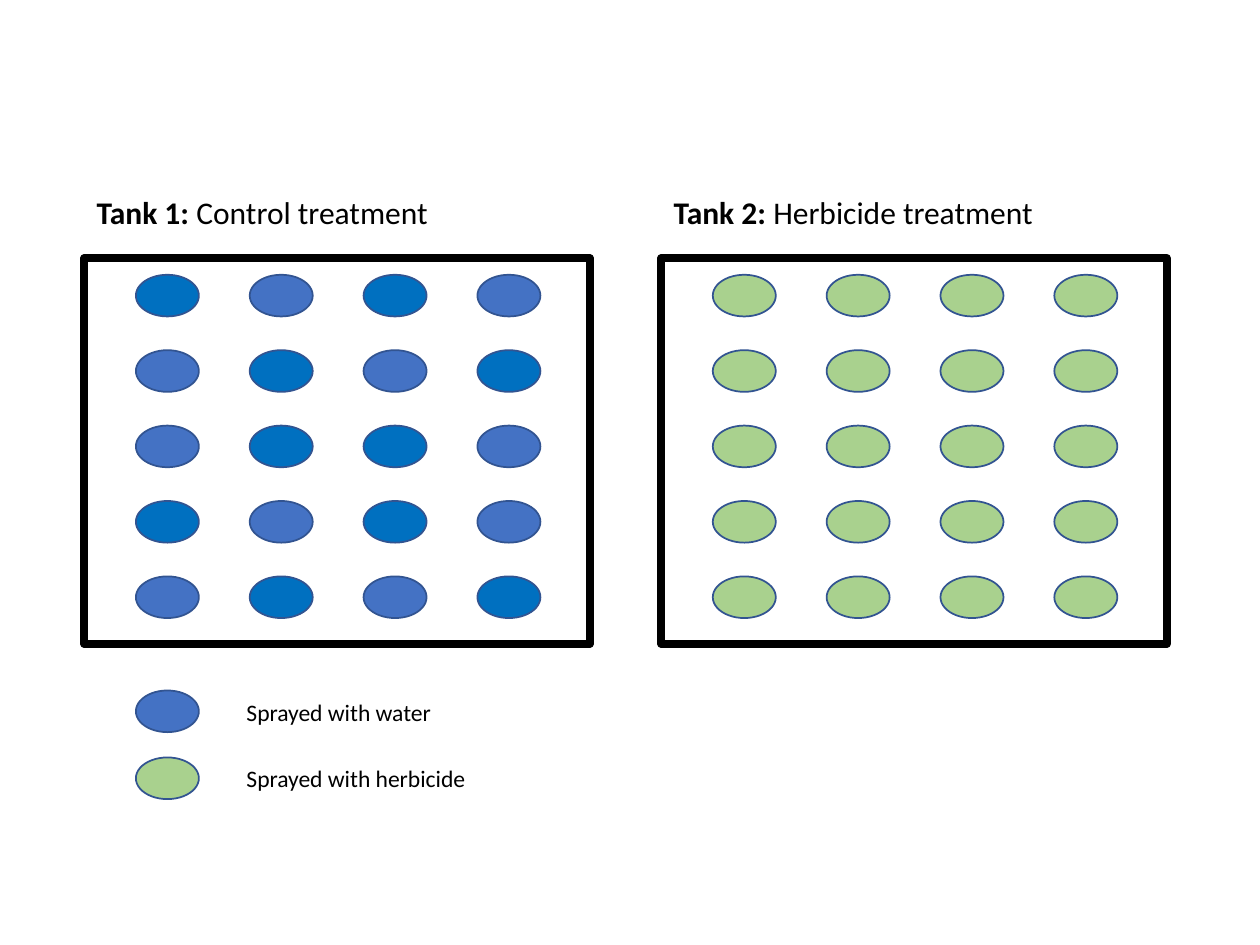
"""Build a slide comparing two tanks of plants sprayed with water or herbicide."""
from pptx import Presentation
from pptx.dml.color import RGBColor
from pptx.enum.shapes import MSO_SHAPE
from pptx.enum.text import MSO_AUTO_SIZE
from pptx.util import Cm, Pt

WATER, DEEP_WATER, HERBICIDE = "4472C4", "0070C0", "A9D18E"
PLANT_COLORS = {"w": WATER, "d": DEEP_WATER, "h": HERBICIDE}
TANKS = [
    ("Tank 1: ", "Control treatment", ["dwdw", "wdwd", "wddw", "dwdw", "wdwd"]),
    ("Tank 2: ", "Herbicide treatment", ["hhhh"] * 5),
]
LEGEND = [
    ("Sprayed with water", WATER, 13.92, 13.94, 11.07),
    ("Sprayed with herbicide", HERBICIDE, 15.27, 15.27, 13.97),
]

TANK_LEFT, TANK_TOP, TANK_PITCH = 1.7, 5.21, 11.63
TANK_WIDTH, TANK_HEIGHT = 10.19, 7.77
TITLE_TOP, TITLE_HEIGHT = 3.76, 1.02
PLANT_LEFT, PLANT_TOP = 2.74, 5.54
PLANT_WIDTH, PLANT_HEIGHT = 1.27, 0.84
COLUMN_PITCH, ROW_PITCH = 2.295, 1.52
LEGEND_TEXT_LEFT, LEGEND_TEXT_HEIGHT = 4.72, 0.84


def color(value):
    return RGBColor.from_string(value)


def add_outline(slide, preset, box, fill, line, weight):
    outline = slide.shapes.add_shape(preset, *map(Cm, box))
    outline.shadow.inherit = False
    if fill:
        outline.fill.solid()
        outline.fill.fore_color.rgb = color(fill)
    else:
        outline.fill.background()
    outline.line.color.rgb = color(line)
    outline.line.width = Pt(weight)


def add_plant(slide, left, top, fill):
    box = (left, top, PLANT_WIDTH, PLANT_HEIGHT)
    add_outline(slide, MSO_SHAPE.OVAL, box, fill, "325491", 1)


def add_text(slide, box, size, runs):
    frame = slide.shapes.add_textbox(*map(Cm, box)).text_frame
    frame.word_wrap = True
    frame.auto_size = MSO_AUTO_SIZE.SHAPE_TO_FIT_TEXT
    for words, bold in runs:
        run = frame.paragraphs[0].add_run()
        run.text = words
        run.font.name = "Calibri"
        run.font.size = Pt(size)
        run.font.bold = bold
        run.font.color.rgb = color("000000")


def add_tank(slide, shift, name, treatment, rows):
    for row, plants in enumerate(rows):
        for column, plant in enumerate(plants):
            left = PLANT_LEFT + shift + column * COLUMN_PITCH
            add_plant(slide, left, PLANT_TOP + row * ROW_PITCH, PLANT_COLORS[plant])
    left = TANK_LEFT + shift
    wall = (left, TANK_TOP, TANK_WIDTH, TANK_HEIGHT)
    add_outline(slide, MSO_SHAPE.RECTANGLE, wall, None, "000000", 4.5)
    title = (left, TITLE_TOP, TANK_WIDTH, TITLE_HEIGHT)
    add_text(slide, title, 18, [(name, True), (treatment, False)])


def main():
    deck = Presentation()
    deck.slide_width, deck.slide_height = Cm(25.4), Cm(19.05)
    slide = deck.slides.add_slide(deck.slide_layouts[6])
    for index, tank in enumerate(TANKS):
        add_tank(slide, index * TANK_PITCH, *tank)
    for label, fill, plant_top, text_top, width in LEGEND:
        add_plant(slide, PLANT_LEFT, plant_top, fill)
        box = (LEGEND_TEXT_LEFT, text_top, width, LEGEND_TEXT_HEIGHT)
        add_text(slide, box, 13.5, [(label, False)])
    deck.save("out.pptx")


if __name__ == "__main__":
    main()
